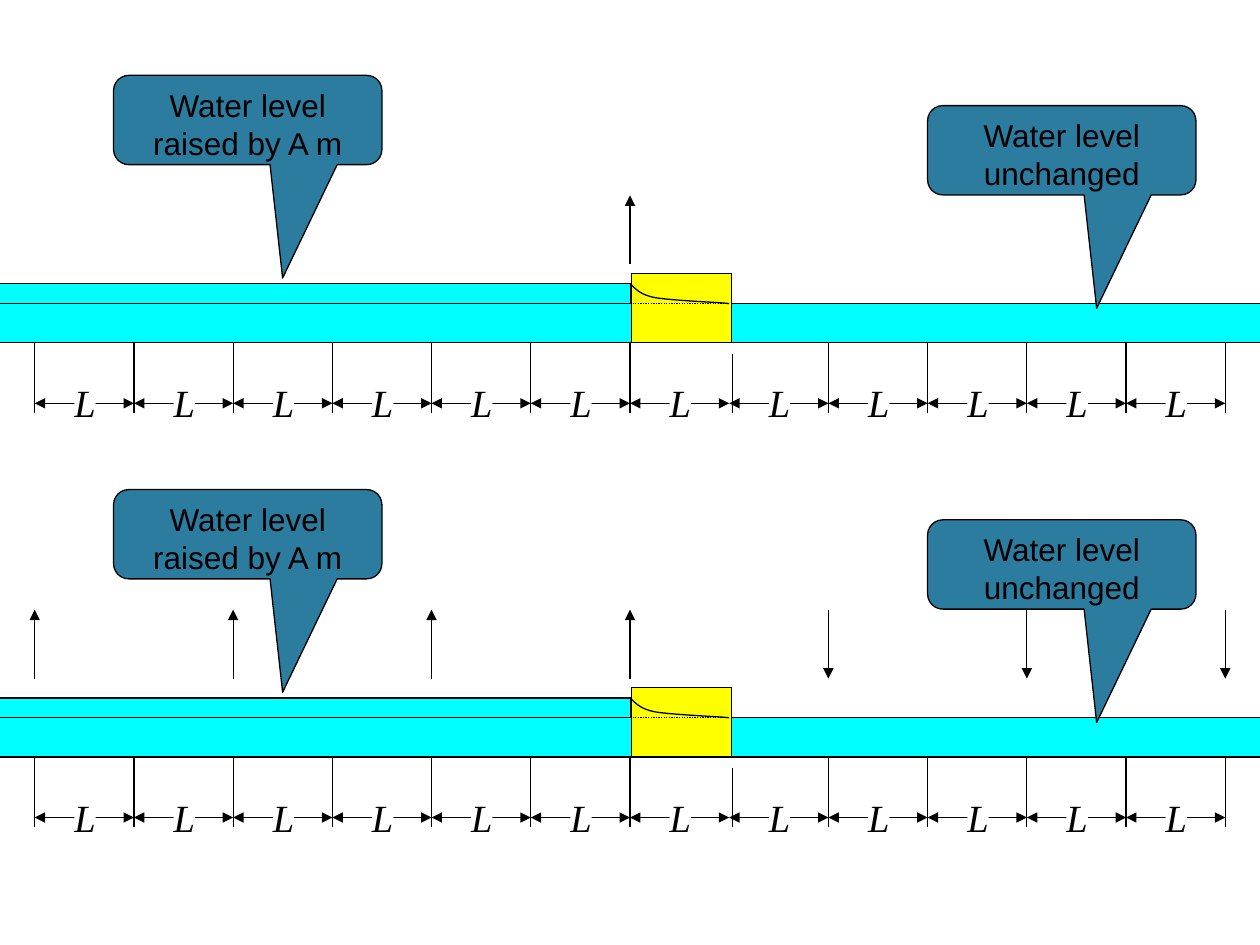
import pptx
import pptx.dml.color
import pptx.enum.dml
import pptx.enum.shapes
import pptx.enum.text
import pptx.oxml.ns
import pptx.util
from dataclasses import dataclass
from lxml import etree

Cm = pptx.util.Cm
Pt = pptx.util.Pt
SHAPE = pptx.enum.shapes.MSO_SHAPE


@dataclass(frozen=True)
class Theme:
    ink: str = "000000"
    paper: str = "FFFFFF"
    water: str = "00FFFF"
    gate: str = "FFFF00"
    callout: str = "2C7C9F"
    line_width: float = 0.75
    callout_font: str = "Arial"
    callout_size: int = 18
    label_font: str = "Times New Roman"
    label_size: int = 22


THEME = Theme()

# Canal layout in cm; heights are relative to the top of a panel
SPACINGS = 12
PITCH = 2
GATE_INDEX = 6
WATER_LEVEL = 6.12
RAISED_LEVEL = 5.72
DEPTH = 0.79
BED = WATER_LEVEL + DEPTH
TICK_END = 8.33
DIMENSION_Y = 8.13
ARROW_TOP, ARROW_BOTTOM = 3.94, 5.33
SECOND_PANEL = 8.35


def station(i):
    return 0.7 + PITCH * i


def rgb(value):
    return pptx.dml.color.RGBColor.from_string(value)


def set_line(line):
    line.color.rgb = rgb(THEME.ink)
    line.width = Pt(THEME.line_width)


def add_box(s, kind, x, y, w, h, fill):
    sp = s.shapes.add_shape(kind, Cm(x), Cm(y), Cm(w), Cm(h))
    sp.shadow.inherit = False
    sp.fill.solid()
    sp.fill.fore_color.rgb = rgb(fill)
    set_line(sp.line)
    return sp


def add_line(s, x1, y1, x2, y2, head=False, tail=False, dotted=False):
    sp = s.shapes.add_connector(pptx.enum.shapes.MSO_CONNECTOR.STRAIGHT,
                                Cm(x1), Cm(y1), Cm(x2), Cm(y2))
    set_line(sp.line)
    if dotted:
        sp.line.dash_style = pptx.enum.dml.MSO_LINE.ROUND_DOT
    qn = pptx.oxml.ns.qn
    sp_pr = sp._element.spPr
    for tag, wanted in (("a:headEnd", head), ("a:tailEnd", tail)):
        if wanted:
            etree.SubElement(sp_pr.find(qn("a:ln")), qn(tag), type="triangle")
    etree.SubElement(sp_pr, qn("a:effectLst"))
    return sp


def add_run(p, text, font, size, italic=False):
    r = p.add_run()
    r.text = text
    r.font.name = font
    r.font.size = Pt(size)
    r.font.italic = italic
    r.font.color.rgb = rgb(THEME.ink)


def add_callout(s, x, y, text):
    sp = add_box(s, SHAPE.ROUNDED_RECTANGULAR_CALLOUT, x, y, 5.41, 1.8, THEME.callout)
    for i, value in enumerate((0.13, 1.77, 0.17)):
        sp.adjustments[i] = value
    tf = sp.text_frame
    tf.word_wrap = True
    tf.vertical_anchor = pptx.enum.text.MSO_ANCHOR.TOP
    p = tf.paragraphs[0]
    p.alignment = pptx.enum.text.PP_ALIGN.CENTER
    add_run(p, text, THEME.callout_font, THEME.callout_size)


def add_dimension(s, x, y):
    add_line(s, x, y, x + PITCH, y, head=True, tail=True)
    sp = s.shapes.add_textbox(Cm(x + 0.8), Cm(y - 0.48), Cm(0.43), Cm(0.94))
    sp.fill.solid()
    sp.fill.fore_color.rgb = rgb(THEME.paper)
    tf = sp.text_frame
    tf.word_wrap = False
    tf.auto_size = pptx.enum.text.MSO_AUTO_SIZE.SHAPE_TO_FIT_TEXT
    tf.margin_left = tf.margin_top = tf.margin_right = tf.margin_bottom = 0
    add_run(tf.paragraphs[0], "L", THEME.label_font, THEME.label_size, italic=True)


def bezier(p0, p1, p2, p3, steps=10):
    for k in range(1, steps + 1):
        t = k / steps
        u = 1 - t
        yield tuple(u**3 * a + 3 * u * u * t * b + 3 * u * t * t * c + t**3 * d
                    for a, b, c, d in zip(p0, p1, p2, p3))


def add_surface_curve(s, top):
    x, y = station(GATE_INDEX), top + RAISED_LEVEL
    start, knee, end = (x, y), (x + 0.5, y + 0.28), (x + PITCH, y + 0.4)
    points = [*bezier(start, (x + 0.07, y + 0.05), (x + 0.17, y + 0.22), knee),
              *bezier(knee, (x + 0.84, y + 0.34), (x + 1.7, y + 0.37), end)]
    builder = s.shapes.build_freeform(Cm(start[0]), Cm(start[1]))
    builder.add_line_segments([(Cm(px), Cm(py)) for px, py in points], close=False)
    sp = builder.convert_to_shape()
    sp.shadow.inherit = False
    sp.fill.background()
    set_line(sp.line)


def add_panel(s, top, up, down):
    # Water and gate
    add_box(s, SHAPE.RECTANGLE, -0.08, top + RAISED_LEVEL, 12.8, DEPTH, THEME.water)
    canal = add_box(s, SHAPE.RECTANGLE, -0.1, top + WATER_LEVEL, 25.6, DEPTH, THEME.water)
    add_box(s, SHAPE.RECTANGLE, 12.73, top + 5.51, 2.02, 1.4, THEME.gate)

    # Ticks; the one behind the gate starts lower
    for i in range(SPACINGS + 1):
        behind_gate = i == GATE_INDEX + 1
        x = 14.76 if behind_gate else station(i)
        start = 7.14 if behind_gate else BED
        tick = add_line(s, x, top + start, x, top + TICK_END)
        if i == GATE_INDEX:
            tick.begin_connect(canal, 2)

    # Arrows for rising and falling stations
    for i in up:
        add_line(s, station(i), top + ARROW_BOTTOM, station(i), top + ARROW_TOP, tail=True)
    for i in down:
        add_line(s, station(i), top + ARROW_TOP, station(i), top + ARROW_BOTTOM, tail=True)

    # Callouts
    add_callout(s, 2.29, top + 1.52, "Water level raised by A m")
    add_callout(s, station(9), top + 2.13, "Water level unchanged")

    # Spacing dimensions
    for i in range(SPACINGS):
        add_dimension(s, station(i), top + DIMENSION_Y)

    # Water surface through the gate
    add_surface_curve(s, top)
    add_line(s, station(GATE_INDEX), top + WATER_LEVEL,
             station(GATE_INDEX + 1), top + WATER_LEVEL, dotted=True)


def main():
    prs = pptx.Presentation()
    prs.slide_width, prs.slide_height = Cm(25.4), Cm(19.05)
    s = prs.slides.add_slide(prs.slide_layouts[6])
    add_panel(s, 0, up=(6,), down=())
    add_panel(s, SECOND_PANEL, up=(0, 2, 4, 6), down=(8, 10, 12))
    prs.save("out.pptx")


if __name__ == "__main__":
    main()
